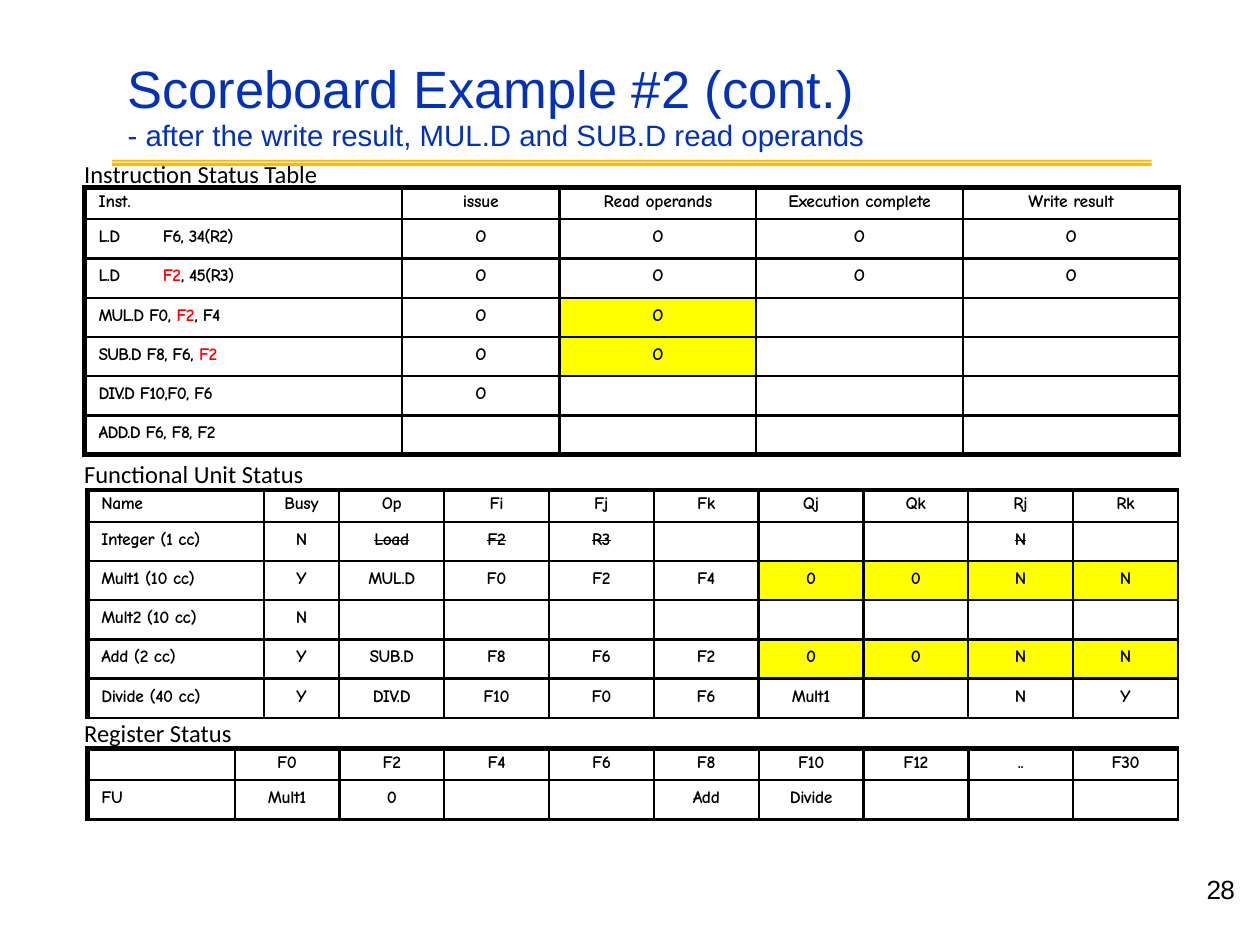
from lxml import etree
from pptx import Presentation
from pptx import util as u
from pptx.dml.color import RGBColor
from pptx.enum import text
from pptx.oxml import ns

Pt = u.Pt
BLACK = RGBColor(0, 0, 0)
BLUE = RGBColor(0x03, 0x32, 0xB7)
GOLD = RGBColor(0xFB, 0xBA, 0x03)
RED = RGBColor(0xFF, 0, 0)
YELLOW = RGBColor(0xFF, 0xFF, 0)
LEFT, MID = text.PP_ALIGN.LEFT, text.PP_ALIGN.CENTER
HEAD, ROW = 18, 22.45
THIN, THICK = 1.5, 3

TITLE = [("Scoreboard Example #2 (cont.)", 30, 35.2),
         ("- after the write result, MUL.D and SUB.D read operands", 16.8, 19.3)]
RULES = [(92.9, 95), (91.4, 92.4)]  # top and bottom of each gold bar
LABELS = [("Instruction Status Table", 87.1, 173),
          ("Functional Unit Status", 258.5, 153),
          ("Register Status", 406.8, 99)]

# Text between bars is red; lit and struck cells are (row, column).
TABLES = [
    dict(left=48.4, top=107.3, foot=THICK, gap=-0.1, first=-0.4,
         cols=[181.4, 90, 112.4, 118, 123.8],
         lit={(3, 2), (4, 2)}, struck=set(),
         rows=[
             ["Inst.", "issue", "Read operands", "Execution complete", "Write result"],
             ["L.D\tF6, 34(R2)", "O", "O", "O", "O"],
             ["L.D\t|F2|, 45(R3)", "O", "O", "O", "O"],
             ["MUL.D F0, |F2|, F4", "O", "O", "", ""],
             ["SUB.D F8, F6, |F2|", "O", "O", "", ""],
             ["DIV.D F10,F0, F6", "O", "", "", ""],
             ["ADD.D F6, F8, F2", "", "", "", ""],
         ]),
    dict(left=49.9, top=280.1, foot=THIN, gap=-0.2, first=-0.2,
         cols=[100.8, 43.2] + [59.9] * 8,
         lit={(r, c) for r in (2, 4) for c in range(6, 10)},
         struck={(1, 2), (1, 3), (1, 4), (1, 8)},
         rows=[
             ["Name", "Busy", "Op", "Fi", "Fj", "Fk", "Qj", "Qk", "Rj", "Rk"],
             ["Integer (1 cc)", "N", "Load", "F2", "R3", "", "", "", "N", ""],
             ["Mult1 (10 cc)", "Y", "MUL.D", "F0", "F2", "F4", "0", "0", "N", "N"],
             ["Mult2 (10 cc)", "N", "", "", "", "", "", "", "", ""],
             ["Add (2 cc)", "Y", "SUB.D", "F8", "F6", "F2", "0", "0", "N", "N"],
             ["Divide (40 cc)", "Y", "DIV.D", "F10", "F0", "F6", "Mult1", "", "N", "Y"],
         ]),
    dict(left=49.9, top=427.9, foot=THIN, gap=-0.2, first=-0.2,
         cols=[84.2] + [59.9] * 9, lit=set(), struck=set(),
         rows=[
             ["", "F0", "F2", "F4", "F6", "F8", "F10", "F12", "..", "F30"],
             ["FU", "Mult1", "0", "", "", "Add", "Divide", "", "", ""],
         ]),
]


def write(para, words, size, font="Arial", color=BLACK, bold=False,
          strike=False, gap=0, align=LEFT, line=None):
    """Fill a paragraph; parts between bars turn red."""
    para.alignment = align
    if line:
        para.line_spacing = Pt(line)
    for i, part in enumerate(words.split("|")):
        if not part:
            continue
        run = para.add_run()
        run.text = part
        face = run.font
        face.name, face.size, face.bold = font, Pt(size), bold
        face.color.rgb = RED if i % 2 else color
        props = run._r.get_or_add_rPr()
        if gap:
            props.set("spc", str(round(gap * 100)))
        if strike:
            props.set("strike", "sngStrike")
    if not words:  # keep an empty line as low as a written one
        end = etree.SubElement(para._p, ns.qn("a:endParaRPr"))
        end.set("sz", str(size * 100))


def add_box(slide, left, top, width, height, inset=(0, 0)):
    frame = slide.shapes.add_textbox(Pt(left), Pt(top), Pt(width), Pt(height)).text_frame
    frame.word_wrap = True
    frame.margin_left = frame.margin_right = Pt(inset[0])
    frame.margin_top = frame.margin_bottom = Pt(inset[1])
    return frame


def add_edge(cell, side, width):
    edge = etree.SubElement(cell._tc.get_or_add_tcPr(), ns.qn("a:ln" + side))
    edge.set("w", str(Pt(width)))
    fill = etree.SubElement(edge, ns.qn("a:solidFill"))
    etree.SubElement(fill, ns.qn("a:srgbClr")).set("val", str(BLACK))


def add_tab(para, pos):
    tabs = etree.SubElement(para._p.get_or_add_pPr(), ns.qn("a:tabLst"))
    tab = etree.SubElement(tabs, ns.qn("a:tab"))
    tab.set("pos", str(Pt(pos)))
    tab.set("algn", "l")


def fill_cell(cell, r, c, data):
    last = r == len(data["rows"]) - 1
    words = data["rows"][r][c]
    cell.margin_left = Pt(0 if c else 8)
    cell.margin_right = cell.margin_bottom = 0
    cell.margin_top = Pt(4.4 if r else 2.2)
    add_edge(cell, "L", THIN if c else THICK)
    add_edge(cell, "R", THIN)
    add_edge(cell, "T", THIN if r else THICK)
    add_edge(cell, "B", data["foot"] if last else THIN)
    if (r, c) in data["lit"]:
        cell.fill.solid()
        cell.fill.fore_color.rgb = YELLOW
    else:
        cell.fill.background()
    para = cell.text_frame.paragraphs[0]
    if "\t" in words:
        add_tab(para, 36.7)
    write(para, words, 10, font="Comic Neue", bold=True,
          strike=(r, c) in data["struck"], align=MID if c else LEFT,
          gap=data["gap"] if c or not r else data["first"])


def add_grid(slide, data):
    rows, cols = data["rows"], data["cols"]
    highs = [HEAD] + [ROW] * (len(rows) - 1)
    grid = slide.shapes.add_table(len(rows), len(cols), Pt(data["left"]), Pt(data["top"]),
                                  Pt(sum(cols)), Pt(sum(highs))).table
    grid.first_row = grid.horz_banding = False
    for col, wide in zip(grid.columns, cols):
        col.width = Pt(wide)
    for r, high in enumerate(highs):
        grid.rows[r].height = Pt(high)
        for c in range(len(cols)):
            fill_cell(grid.cell(r, c), r, c, data)


def add_rule(slide, left, right):
    pen = None
    for top, foot in RULES:
        start = Pt(right), Pt(top)
        if pen is None:
            pen = slide.shapes.build_freeform(*start)
        else:
            pen.move_to(*start)
        pen.add_line_segments([(Pt(left), Pt(top)), (Pt(left), Pt(foot)),
                               (Pt(right), Pt(foot))], close=True)
    bar = pen.convert_to_shape()
    bar.shadow.inherit = False
    bar.fill.solid()
    bar.fill.fore_color.rgb = GOLD
    bar.line.fill.background()


def main():
    deck = Presentation()
    deck.slide_width, deck.slide_height = Pt(720), Pt(540)
    slide = deck.slides.add_slide(deck.slide_layouts[6])

    add_rule(slide, 64.1, 658.1)
    for data in TABLES:
        add_grid(slide, data)

    frame = add_box(slide, 72, 31.7, 567.4, 55.4, (0.9, 0.9))
    for i, (words, size, line) in enumerate(TITLE):
        para = frame.add_paragraph() if i else frame.paragraphs[0]
        write(para, words, size, color=BLUE, line=line)

    number = add_box(slide, 678.7, 499.7, 30, 34.6)
    number.margin_left, number.margin_right = Pt(10.8), 0
    write(number.paragraphs[0], "28", 15, gap=-0.4, line=17.5)

    for words, top, wide in LABELS:
        label = add_box(slide, 41, top, wide, 24.5, (7.2, 3.6))
        write(label.paragraphs[0], words, 14, font="Calibri")

    deck.save("out.pptx")


if __name__ == "__main__":
    main()
